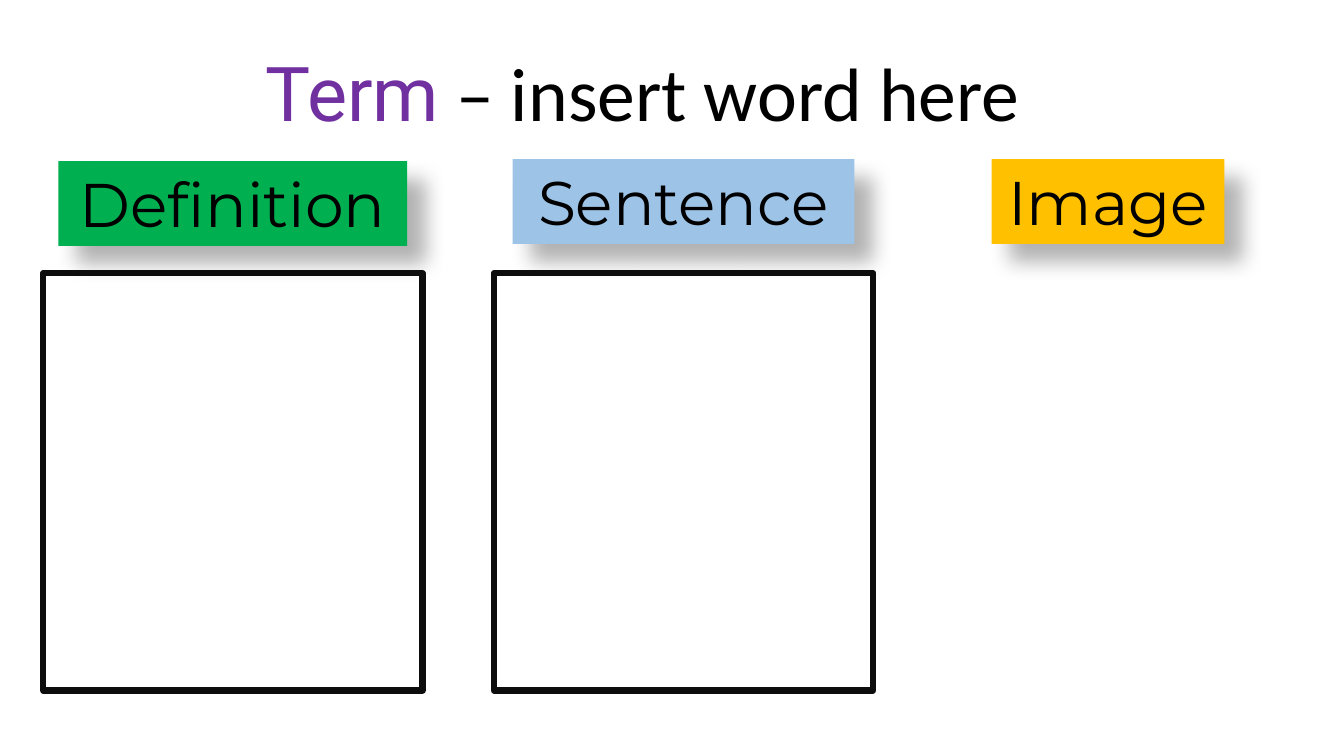
from lxml.etree import SubElement
from pptx import Presentation
from pptx.dml.color import RGBColor
from pptx.enum.shapes import MSO_SHAPE as Shape
from pptx.enum.text import MSO_AUTO_SIZE as AutoSize, PP_ALIGN as Align
from pptx.oxml.ns import qn
from pptx.util import Inches, Pt

COLORS = {
    "ink": "000000",
    "frame": "0D0D0D",
    "term": "7030A0",
    "definition": "00B050",
    "sentence": "9DC3E6",
    "image": "FFC000",
}
COLUMN_WIDTH = 3.76
LABEL_HEIGHT = 0.84
FRAME_TOP, FRAME_HEIGHT = 2.71, 4.14

# heading, color, column left, label top, label width, has a frame
COLUMNS = [
    ("Definition", "definition", 0.43, 1.6, 3.46, True),
    ("Sentence", "sentence", 4.9, 1.58, 3.39, True),
    ("Image", "image", 9.11, 1.58, 2.31, False),
]


def rgb(name):
    return RGBColor.from_string(COLORS[name])


def add_text(page, box, spans, size, wrap=True):
    """Add a centred text box; each span is (text, font, color name)."""
    text_box = page.shapes.add_textbox(*map(Inches, box))
    frame = text_box.text_frame
    frame.word_wrap = wrap
    frame.auto_size = AutoSize.SHAPE_TO_FIT_TEXT
    para = frame.paragraphs[0]
    para.alignment = Align.CENTER
    for text, font, color in spans:
        span = para.add_run()
        span.text = text
        span.font.name = font
        span.font.size = Pt(size)
        span.font.color.rgb = rgb(color)
    return text_box


def add_shadow(shape):
    """Cast a soft shadow down and to the right."""
    shape.shadow.inherit = False
    effects = shape.fill._xPr.find(qn("a:effectLst"))
    shadow = SubElement(effects, qn("a:outerShdw"), blurRad=str(Pt(15)),
                        dist=str(Pt(18)), dir=str(45 * 60000),
                        algn="tl", rotWithShape="0")
    color = SubElement(shadow, qn("a:srgbClr"), val=COLORS["ink"])
    SubElement(color, qn("a:alpha"), val="30000")


def add_label(page, box, heading, color):
    label = add_text(page, box, [(heading, "Montserrat", "ink")], 44, wrap=False)
    label.fill.solid()
    label.fill.fore_color.rgb = rgb(color)
    add_shadow(label)


def add_frame(page, box):
    frame = page.shapes.add_shape(Shape.RECTANGLE, *map(Inches, box))
    frame.shadow.inherit = False
    frame.fill.background()
    frame.line.color.rgb = rgb("frame")
    frame.line.width = Pt(4.5)
    SubElement(frame.line._get_or_add_ln(), qn("a:round"))


def add_column(page, heading, color, left, label_top, label_width, framed):
    label_left = left + (COLUMN_WIDTH - label_width) / 2
    add_label(page, (label_left, label_top, label_width, LABEL_HEIGHT), heading, color)
    if framed:
        add_frame(page, (left, FRAME_TOP, COLUMN_WIDTH, FRAME_HEIGHT))


def main():
    deck = Presentation()
    deck.slide_width, deck.slide_height = Inches(13.33), Inches(7.5)
    page = deck.slides.add_slide(deck.slide_layouts[6])
    title = [("Term", "Roboto", "term"), (" – insert word here ", "Calibri", "ink")]
    add_text(page, (2.08, 0.41, 8.76, 1.01), title, 54)
    for column in COLUMNS:
        add_column(page, *column)
    deck.save("out.pptx")


if __name__ == "__main__":
    main()
